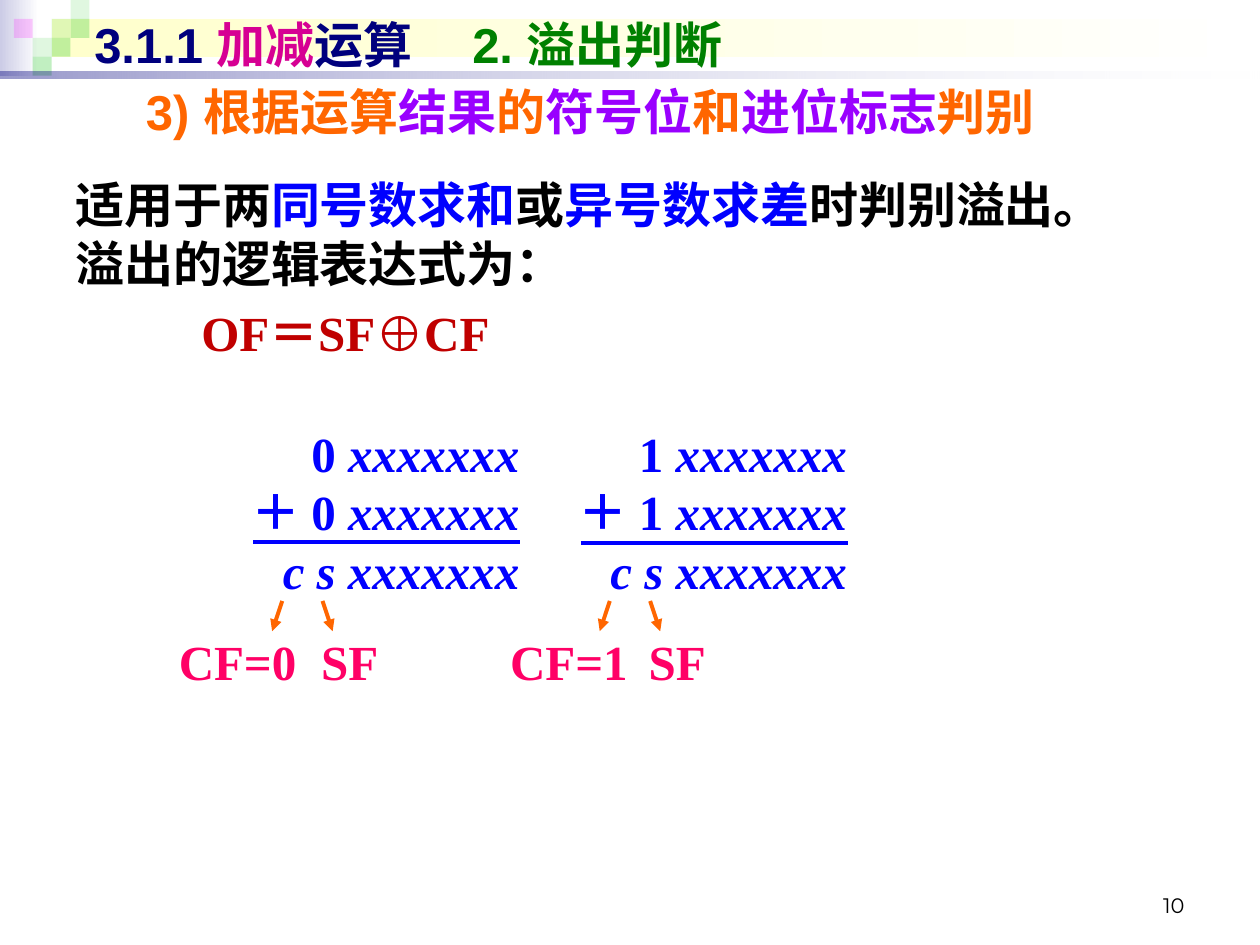
from lxml import etree
from pptx import Presentation
from pptx.dml.color import RGBColor
from pptx.enum.shapes import MSO_CONNECTOR, MSO_SHAPE
from pptx.enum.text import MSO_ANCHOR, PP_ALIGN
from pptx.oxml.ns import qn
from pptx.util import Inches, Pt

RECTANGLE = MSO_SHAPE.RECTANGLE
STRAIGHT = MSO_CONNECTOR.STRAIGHT
TOP, MIDDLE, BOTTOM = MSO_ANCHOR.TOP, MSO_ANCHOR.MIDDLE, MSO_ANCHOR.BOTTOM
LEFT, RIGHT = PP_ALIGN.LEFT, PP_ALIGN.RIGHT

COLORS = {
    "white": "FFFFFF", "black": "000000", "lavender": "CCCCE6",
    "cream": "FFFFCC", "lime": "33CC33", "magenta": "FF00FF",
    "navy": "00007D", "rose": "D60093", "green": "008000",
    "blue": "0000FF", "crimson": "C00000", "orange": "FF6600",
    "purple": "9900FF", "pink": "FF0066",
}
SANS, SERIF, CJK, NUMBER = "Arial", "Times New Roman", "Noto Sans CJK SC", "Montserrat"


def rgb(name):
    return RGBColor.from_string(COLORS[name])


class SlideBuilder:
    def __init__(self, page, size=28, line_height=33.5):
        self.page = page
        self.size = size
        self.line_height = line_height

    def rectangle(self, left, top, width, height):
        shape = self.page.shapes.add_shape(
            RECTANGLE, Inches(left), Inches(top), Inches(width), Inches(height))
        shape.shadow.inherit = False
        shape.line.fill.background()
        return shape

    def set_opacity(self, shape, percents):
        """Give each fill colour of the shape, in order, its opacity."""
        for color, percent in zip(shape._element.spPr.iter(qn("a:srgbClr")), percents):
            etree.SubElement(color, qn("a:alpha"), val=str(percent * 1000))

    def square(self, left, top, size, color, opacity):
        shape = self.rectangle(left, top, size, size)
        shape.fill.solid()
        shape.fill.fore_color.rgb = rgb(color)
        self.set_opacity(shape, [opacity])

    def fading_band(self, left, top, width, height, color, opacities=()):
        """Draw a band that fades from the colour to white, left to right."""
        shape = self.rectangle(left, top, width, height)
        shape.fill.gradient()
        shape.fill.gradient_angle = 0
        for stop, name, position in zip(shape.fill.gradient_stops, (color, "white"), (0, 1)):
            stop.color.rgb = rgb(name)
            stop.position = position
        self.set_opacity(shape, opacities)

    def text(self, left, top, width, height, paragraphs, font=SERIF, align=LEFT,
             anchor=TOP, size=None, bold=True, gap=0, tab=None):
        """Each paragraph is a list of (text, colour) or (text, colour, italic)."""
        box = self.page.shapes.add_textbox(
            Inches(left), Inches(top), Inches(width), Inches(height))
        frame = box.text_frame
        frame.word_wrap = True
        frame.vertical_anchor = anchor
        frame.margin_top = Inches(0.08)
        for index, spans in enumerate(paragraphs):
            para = frame.paragraphs[0] if index == 0 else frame.add_paragraph()
            para.alignment = align
            para.line_spacing = Pt(self.line_height)
            if index:
                para.space_before = Pt(gap)
            if tab:
                tabs = etree.SubElement(para._p.get_or_add_pPr(), qn("a:tabLst"))
                etree.SubElement(tabs, qn("a:tab"), pos=str(Inches(tab)), algn="l")
            for content, color, *italic in spans:
                if content == "\n":
                    para.add_line_break()
                    continue
                span = para.add_run()
                span.text = content
                span.font.name = font
                span.font.size = Pt(size or self.size)
                span.font.bold = bold
                span.font.italic = bool(italic and italic[0])
                span.font.color.rgb = rgb(color)
                etree.SubElement(span._r.get_or_add_rPr(), qn("a:ea"), typeface=CJK)

    def line(self, start, end, color, arrow=False):
        connector = self.page.shapes.add_connector(
            STRAIGHT, *(Inches(value) for value in (*start, *end)))
        connector.line.color.rgb = rgb(color)
        connector.line.width = Pt(2.25)
        if arrow:
            etree.SubElement(connector.line._get_or_add_ln(), qn("a:tailEnd"), type="triangle")
        etree.SubElement(connector._element.spPr, qn("a:effectLst"))


def draw_header(slide):
    slide.fading_band(0, 0, 0.31, 0.6, "lavender")
    slide.fading_band(0.41, 0.15, 9.55, 0.3, "cream")
    step = 0.15
    for column, row, color, opacity in (
            (2, 1, "lime", 15), (3, 0, "lime", 15), (3, 1, "lime", 30),
            (1, 2, "lime", 15), (0, 1, "magenta", 20), (2, 2, "lime", 30),
            (1, 3, "lime", 30)):
        slide.square(0.11 + column * step, row * step, step, color, opacity)
    slide.fading_band(0, 0.57, 10, 0.05, "navy", (40, 10))


def draw_addition(slide, left, rule_y, sign, carry_left, carry_width):
    """Draw one column addition of two numbers that share a sign bit."""
    digits = ("xxxxxxx", "blue", True)
    slide.text(left, 3.28, 2.76, 1.5, [
        [(f"{sign} ", "blue"), digits],
        [(f"＋ {sign} ", "blue"), digits],
        [("c s xxxxxxx", "blue", True)],
    ], align=RIGHT)
    slide.line((left + 0.55, rule_y), (left + 2.67, rule_y), "blue")
    slide.text(left + 0.99, 4.93, 0.87, 0.55, [[("SF", "pink")]])
    slide.text(carry_left, 4.93, carry_width, 0.55, [[(f"CF={sign}", "pink")]], align=RIGHT)
    for start, end in ((1.1, 1.18), (0.78, 0.7)):
        slide.line((left + start, 4.77), (left + end, 5.01), "orange", arrow=True)


def main():
    deck = Presentation()
    deck.slide_width, deck.slide_height = Inches(10), Inches(7.5)
    slide = SlideBuilder(deck.slides.add_slide(deck.slide_layouts[6]))

    draw_header(slide)
    slide.text(7.17, 6.83, 2.33, 0.5, [[("10", "black")]], font=NUMBER,
               align=RIGHT, anchor=BOTTOM, size=12, bold=False)
    slide.text(0.65, 0.05, 9, 0.57, [[
        ("3.1.1 ", "navy"), ("加减", "rose"), ("运算\t", "navy"), ("2. 溢出判断", "green"),
    ]], font=SANS, anchor=MIDDLE, tab=3)
    slide.text(0.5, 1.31, 9.3, 1.65, [
        [("适用于两", "black"), ("同号数求和", "blue"), ("或", "black"),
         ("异号数求差", "blue"), ("时判别溢出。", "black"), ("\n", "black"),
         ("溢出的逻辑表达式为：", "black")],
        [("\t", "black"), ("OF＝SF⊕CF", "crimson")],
    ], gap=5.6, tab=1)
    slide.text(1.06, 0.58, 8.69, 0.57, [[
        ("3) ", "orange"), ("根据运算", "orange"), ("结果", "purple"), ("的", "orange"),
        ("符号位", "purple"), ("和", "orange"), ("进位标志", "purple"), ("判别", "orange"),
    ]], font=SANS, anchor=MIDDLE)
    draw_addition(slide, 1.46, 4.3, 0, 1.06, 1.39)
    draw_addition(slide, 4.06, 4.31, 1, 3.74, 1.34)

    deck.save("out.pptx")


if __name__ == "__main__":
    main()
